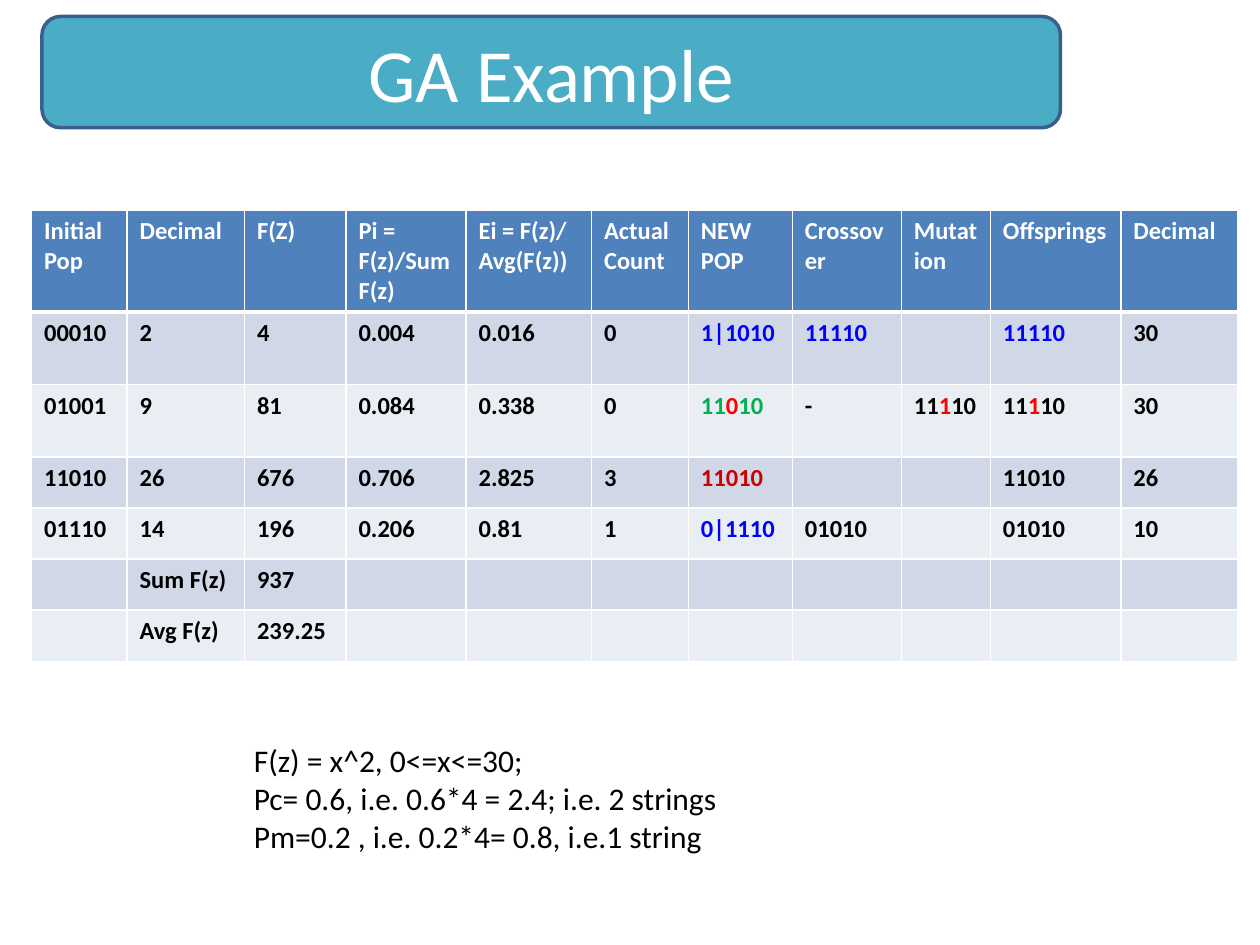
from dataclasses import dataclass

from lxml import etree
from pptx import Presentation
from pptx.dml.color import RGBColor
from pptx.enum.shapes import MSO_SHAPE
from pptx.enum.text import MSO_ANCHOR, MSO_AUTO_SIZE, PP_ALIGN
from pptx.oxml.ns import qn
from pptx.util import Pt

ROUNDED = MSO_SHAPE.ROUNDED_RECTANGLE
MIDDLE = MSO_ANCHOR.MIDDLE
CENTER = PP_ALIGN.CENTER
FIT_SHAPE = MSO_AUTO_SIZE.SHAPE_TO_FIT_TEXT


@dataclass(frozen=True)
class Theme:
    font: str = "Calibri"
    title_size: float = 42.9
    table_size: float = 14
    note_size: float = 18
    white: str = "FFFFFF"
    black: str = "000000"
    blue: str = "0000FF"
    green: str = "00B050"
    red: str = "FF0000"
    dark_red: str = "CC0000"
    banner: str = "4BACC6"
    banner_line: str = "3A5F8C"
    header: str = "4F81BD"
    bands: tuple = ("D0D8E8", "E9EDF4")


T = Theme()


def add_run(p, text, size, color, bold=False):
    r = p.add_run()
    r.text = text
    r.font.name = T.font
    r.font.size = Pt(size)
    r.font.bold = bold
    r.font.color.rgb = RGBColor.from_string(color)


def set_borders(cell, bottom):
    """White 1 pt cell borders, with the given bottom width in points."""
    tc_pr = cell._tc.get_or_add_tcPr()
    for i, (side, width) in enumerate(zip("LRTB", (1, 1, 1, bottom))):
        ln = etree.Element(qn(f"a:ln{side}"), w=str(Pt(width)))
        fill = etree.SubElement(ln, qn("a:solidFill"))
        etree.SubElement(fill, qn("a:srgbClr"), val=T.white)
        tc_pr.insert(i, ln)


prs = Presentation()
prs.slide_width, prs.slide_height = Pt(720), Pt(540)
s = prs.slides.add_slide(prs.slide_layouts[6])

# Table: a cell is plain text or a list of (text, colour) runs
mutated = [("11", T.black), ("1", T.red), ("10", T.black)]
rows = [
    ["Initial Pop", "Decimal", "F(Z)", "Pi = F(z)/Sum F(z)", "Ei = F(z)/ Avg(F(z))",
     "Actual Count", "NEW POP", "Crossover", "Mutation", "Offsprings", "Decimal"],
    ["00010", "2", "4", "0.004", "0.016", "0", [("1|1010", T.blue)],
     [("11110", T.blue)], "", [("11110", T.blue)], "30"],
    ["01001", "9", "81", "0.084", "0.338", "0",
     [("11", T.green), ("0", T.red), ("10", T.green)], "-", mutated, mutated, "30"],
    ["11010", "26", "676", "0.706", "2.825", "3", [("11010", T.dark_red)],
     "", "", "11010", "26"],
    ["01110", "14", "196", "0.206", "0.81", "1", [("0|1110", T.blue)],
     "01010", "", "01010", "10"],
    ["", "Sum F(z)", "937"] + [""] * 8,
    ["", "Avg F(z)", "239.25"] + [""] * 8,
]
col_widths = [54.6, 67.1, 58, 68.6, 71.7, 55.4, 59.4, 62.3, 50.9, 74.6, 66.6]
row_heights = [58, 41.4, 41.4] + [29.2] * 4

table = s.shapes.add_table(len(rows), len(col_widths), Pt(18), Pt(120),
                           Pt(sum(col_widths)), Pt(sum(row_heights))).table
for column, width in zip(table.columns, col_widths):
    column.width = Pt(width)
for i, (row, height) in enumerate(zip(rows, row_heights)):
    table.rows[i].height = Pt(height)
    is_header = i == 0
    fill = T.header if is_header else T.bands[(i - 1) % 2]
    text_color = T.white if is_header else T.black
    for j, content in enumerate(row):
        cell = table.cell(i, j)
        cell.fill.solid()
        cell.fill.fore_color.rgb = RGBColor.from_string(fill)
        set_borders(cell, 3 if is_header else 1)
        runs = [(content, text_color)] if isinstance(content, str) else content
        for text, color in runs:
            if text:
                add_run(cell.text_frame.paragraphs[0], text, T.table_size, color, True)

# Notes on the parameters
notes = [
    "F(z) = x^2, 0<=x<=30;",
    "Pc= 0.6, i.e. 0.6*4 = 2.4; i.e. 2 strings",
    "Pm=0.2 , i.e. 0.2*4= 0.8, i.e.1 string",
]
tf = s.shapes.add_textbox(Pt(138), Pt(420), Pt(312.5), Pt(72.7)).text_frame
tf.word_wrap = False
tf.auto_size = FIT_SHAPE
for i, note in enumerate(notes):
    p = tf.paragraphs[0] if i == 0 else tf.add_paragraph()
    add_run(p, note, T.note_size, T.black)

# Title banner
sp = s.shapes.add_shape(ROUNDED, Pt(24), Pt(9.4), Pt(582), Pt(63.6))
sp.shadow.inherit = False
sp.fill.solid()
sp.fill.fore_color.rgb = RGBColor.from_string(T.banner)
sp.line.color.rgb = RGBColor.from_string(T.banner_line)
sp.line.width = Pt(2)
tf = sp.text_frame
tf.vertical_anchor = MIDDLE
p = tf.paragraphs[0]
p.alignment = CENTER
add_run(p, "GA Example", T.title_size, T.white)

prs.save("out.pptx")
